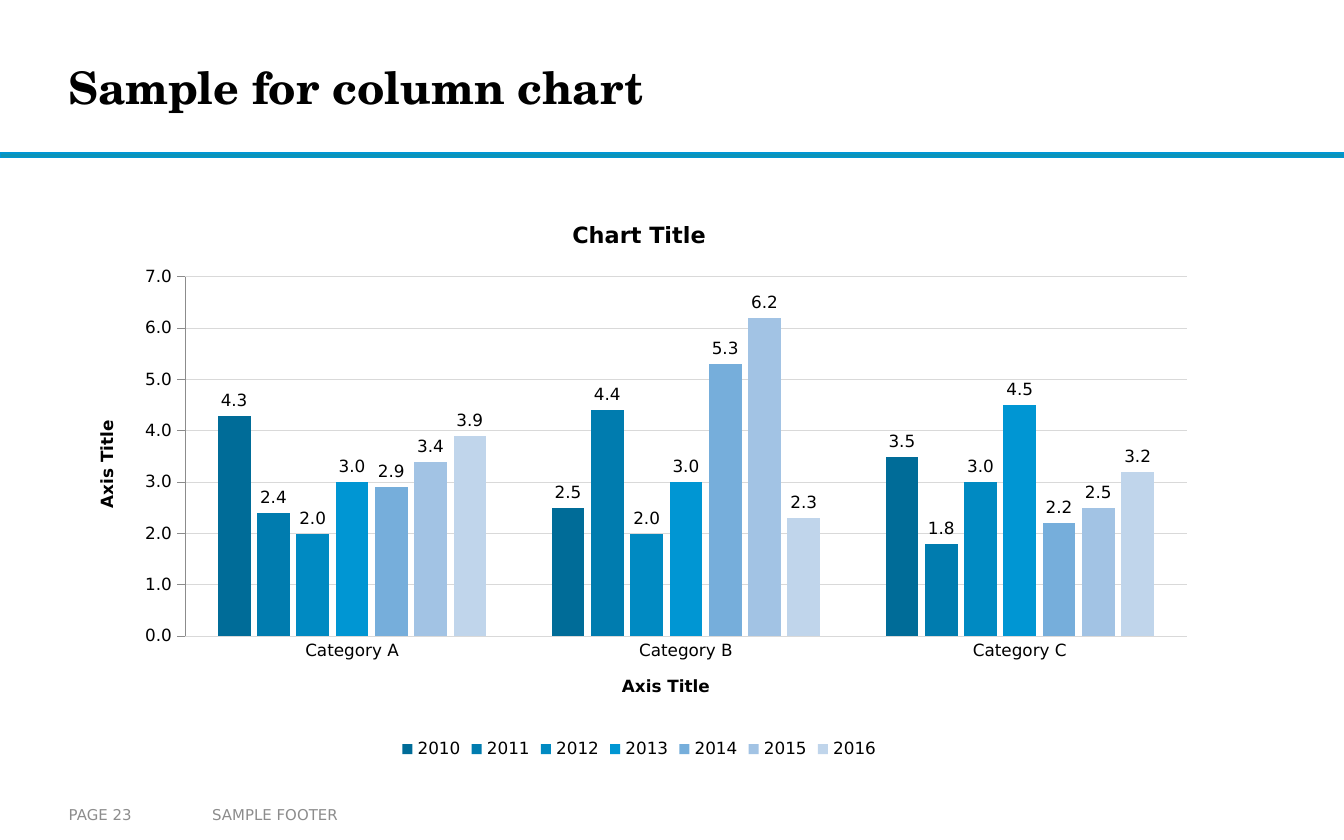
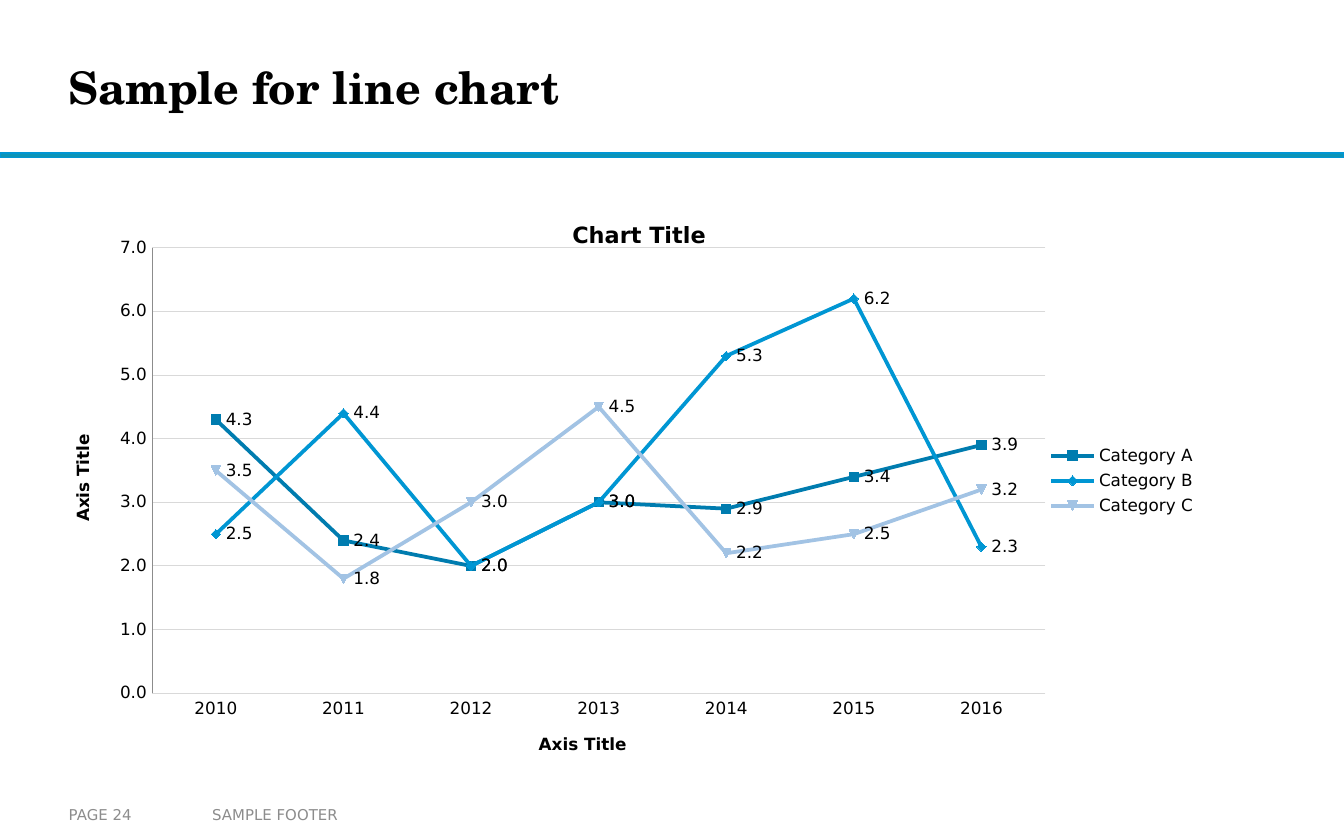
from lxml import etree
from pptx import Presentation
from pptx.chart.data import CategoryChartData
from pptx.dml.color import RGBColor
from pptx.enum.chart import (XL_CHART_TYPE, XL_LABEL_POSITION, XL_LEGEND_POSITION,
                             XL_MARKER_STYLE, XL_TICK_MARK)
from pptx.enum.shapes import MSO_SHAPE
from pptx.enum.text import MSO_ANCHOR
from pptx.oxml import parse_xml
from pptx.oxml.ns import nsdecls, qn
from pptx.util import Cm, Pt

COLUMNS = XL_CHART_TYPE.COLUMN_CLUSTERED
LINES = XL_CHART_TYPE.LINE_MARKERS
OUTSIDE_END, RIGHT_OF_POINT = XL_LABEL_POSITION.OUTSIDE_END, XL_LABEL_POSITION.RIGHT
LEGEND_BOTTOM, LEGEND_RIGHT = XL_LEGEND_POSITION.BOTTOM, XL_LEGEND_POSITION.RIGHT
TICK_NONE, TICK_OUTSIDE = XL_TICK_MARK.NONE, XL_TICK_MARK.OUTSIDE
MARKER_AUTO = XL_MARKER_STYLE.AUTOMATIC
RECTANGLE = MSO_SHAPE.RECTANGLE
MIDDLE = MSO_ANCHOR.MIDDLE

# Shared look
COLORS = {"text": "000000", "muted": "8C8C8C", "grid": "D9D9D9", "background": "FFFFFF",
          "band": "0C94B7", "band_line": "0096D3"}
YEAR_COLORS = ["006C98", "007CAF", "008AC2", "0096D3", "76AEDB", "A2C3E4", "C0D5EB"]
CATEGORY_COLORS = ["007CAF", "0096D3", "A2C3E4"]
TITLE_FONT, BODY_FONT = "TeX Gyre Schola", "DejaVu Sans"
PAGE_WIDTH, PAGE_HEIGHT = 25.4, 15.88
MARGIN = 1.3
FOOTER_TOP, FOOTER_HEIGHT = 15.04, 0.71

# Both charts show the same figures
YEARS = [str(year) for year in range(2010, 2017)]
VALUES = {
    "Category A": [4.3, 2.4, 2.0, 3.0, 2.9, 3.4, 3.9],
    "Category B": [2.5, 4.4, 2.0, 3.0, 5.3, 6.2, 2.3],
    "Category C": [3.5, 1.8, 3.0, 4.5, 2.2, 2.5, 3.2],
}


def rgb(color):
    return RGBColor.from_string(color)


def style_font(font, size, color="text", name=BODY_FONT, bold=False):
    font.name, font.size, font.bold = name, Pt(size), bold
    font.color.rgb = rgb(COLORS[color])


def style_line(line, color, width):
    line.color.rgb = rgb(color)
    line.width = Pt(width)


def add_text(slide, text, left, top, width, height, size, side_inset=0.0, end_inset=0.13, **font):
    box = slide.shapes.add_textbox(Cm(left), Cm(top), Cm(width), Cm(height))
    frame = box.text_frame
    frame.word_wrap = True
    frame.vertical_anchor = MIDDLE
    frame.margin_left = frame.margin_right = Cm(side_inset)
    frame.margin_top = frame.margin_bottom = Cm(end_inset)
    run = frame.paragraphs[0].add_run()
    run.text = text
    style_font(run.font, size, **font)


def add_band(slide):
    band = slide.shapes.add_shape(RECTANGLE, 0, Cm(2.9), Cm(PAGE_WIDTH), Cm(0.08))
    band.shadow.inherit = False
    band.fill.solid()
    band.fill.fore_color.rgb = rgb(COLORS["band"])
    style_line(band.line, COLORS["band_line"], 1)


def add_base_slide(presentation, title, page):
    slide = presentation.slides.add_slide(presentation.slide_layouts[6])
    slide.background.fill.solid()
    slide.background.fill.fore_color.rgb = rgb(COLORS["background"])
    add_band(slide)
    add_text(slide, "SAMPLE FOOTER", 3.76, FOOTER_TOP, 8.94, FOOTER_HEIGHT, 8,
             side_inset=0.25, color="muted")
    add_text(slide, f"PAGE {page}", MARGIN, FOOTER_TOP, 2.48, FOOTER_HEIGHT, 8, color="muted")
    add_text(slide, title, MARGIN, 0.38, 19.0, 2.51, 24, end_inset=0,
             name=TITLE_FONT, bold=True)
    return slide


def set_title(owner, text, size):
    """Title a chart or an axis."""
    title = owner.chart_title if hasattr(owner, "chart_title") else owner.axis_title
    run = title.text_frame.paragraphs[0].add_run()
    run.text = text
    style_font(run.font, size, bold=True)


def style_axis(axis, line_color, tick_mark):
    set_title(axis, "Axis Title", 9)
    style_font(axis.tick_labels.font, 9)
    axis.major_tick_mark, axis.minor_tick_mark = tick_mark, TICK_NONE
    style_line(axis.format.line, COLORS[line_color], 0.5)


def fill_chart_area(chart):
    area = parse_xml(
        f'<c:spPr {nsdecls("c", "a")}><a:solidFill><a:srgbClr val="{COLORS["background"]}"/>'
        '</a:solidFill><a:ln><a:noFill/></a:ln></c:spPr>')
    chart._chartSpace.find(qn("c:chart")).addnext(area)


def place_plot(chart, left, top, width, height):
    """Fix the inner plot area, in fractions of the chart."""
    plot_area = chart._chartSpace.find(qn("c:chart")).find(qn("c:plotArea"))
    for old_layout in plot_area.findall(qn("c:layout")):
        plot_area.remove(old_layout)
    layout = etree.Element(qn("c:layout"))
    manual = etree.SubElement(layout, qn("c:manualLayout"))
    settings = {"layoutTarget": "inner", "xMode": "edge", "yMode": "edge",
                "x": left, "y": top, "w": width, "h": height}
    for tag, value in settings.items():
        etree.SubElement(manual, qn(f"c:{tag}")).set("val", str(value))
    plot_area.insert(0, layout)


def add_value_chart(slide, kind, categories, series_values, legend_position, label_position,
                    tick_mark):
    data = CategoryChartData(number_format="0.0")
    data.categories = categories
    for name, values in series_values.items():
        data.add_series(name, values)
    chart = slide.shapes.add_chart(kind, Cm(MARGIN), Cm(3.73), Cm(21.56), Cm(10.72), data).chart
    fill_chart_area(chart)
    style_font(chart.font, 9)
    chart.has_title = True
    set_title(chart, "Chart Title", 12)

    # Legend and axes
    chart.has_legend = True
    chart.legend.position = legend_position
    chart.legend.include_in_layout = False
    style_font(chart.legend.font, 9)
    style_axis(chart.category_axis, "grid", TICK_NONE)
    axis = chart.value_axis
    style_axis(axis, "muted", tick_mark)
    axis.minimum_scale, axis.maximum_scale, axis.major_unit = 0, 7, 1
    axis.tick_labels.number_format = "0.0"
    axis.tick_labels.number_format_is_linked = False
    axis.has_major_gridlines = True
    style_line(axis.major_gridlines.format.line, COLORS["grid"], 0.5)

    # Value labels
    chart.plots[0].vary_by_categories = False
    for series in chart.plots[0].series:
        labels = series.data_labels
        labels.show_value = True
        labels.number_format = "0.0"
        labels.number_format_is_linked = False
        labels.position = label_position
        style_font(labels.font, 9)
    return chart


def add_column_chart(slide):
    by_year = dict(zip(YEARS, zip(*VALUES.values())))
    chart = add_value_chart(slide, COLUMNS, list(VALUES), by_year, LEGEND_BOTTOM,
                            OUTSIDE_END, TICK_OUTSIDE)
    plot = chart.plots[0]
    plot.gap_width, plot.overlap = 200, -20
    for series, color in zip(plot.series, YEAR_COLORS):
        series.format.fill.solid()
        series.format.fill.fore_color.rgb = rgb(color)


def add_line_chart(slide):
    chart = add_value_chart(slide, LINES, YEARS, VALUES, LEGEND_RIGHT, RIGHT_OF_POINT, TICK_NONE)
    place_plot(chart, 0.073, 0.089, 0.783, 0.786)
    for series, color in zip(chart.plots[0].series, CATEGORY_COLORS):
        series.smooth = False
        style_line(series.format.line, color, 2)
        marker = series.marker
        marker.style, marker.size = MARKER_AUTO, 5
        marker.format.fill.solid()
        marker.format.fill.fore_color.rgb = rgb(color)
        marker.format.line.color.rgb = rgb(color)


def main():
    presentation = Presentation()
    presentation.slide_width, presentation.slide_height = Cm(PAGE_WIDTH), Cm(PAGE_HEIGHT)
    add_column_chart(add_base_slide(presentation, "Sample for column chart", 23))
    add_line_chart(add_base_slide(presentation, "Sample for line chart", 24))
    presentation.save("out.pptx")


if __name__ == "__main__":
    main()
